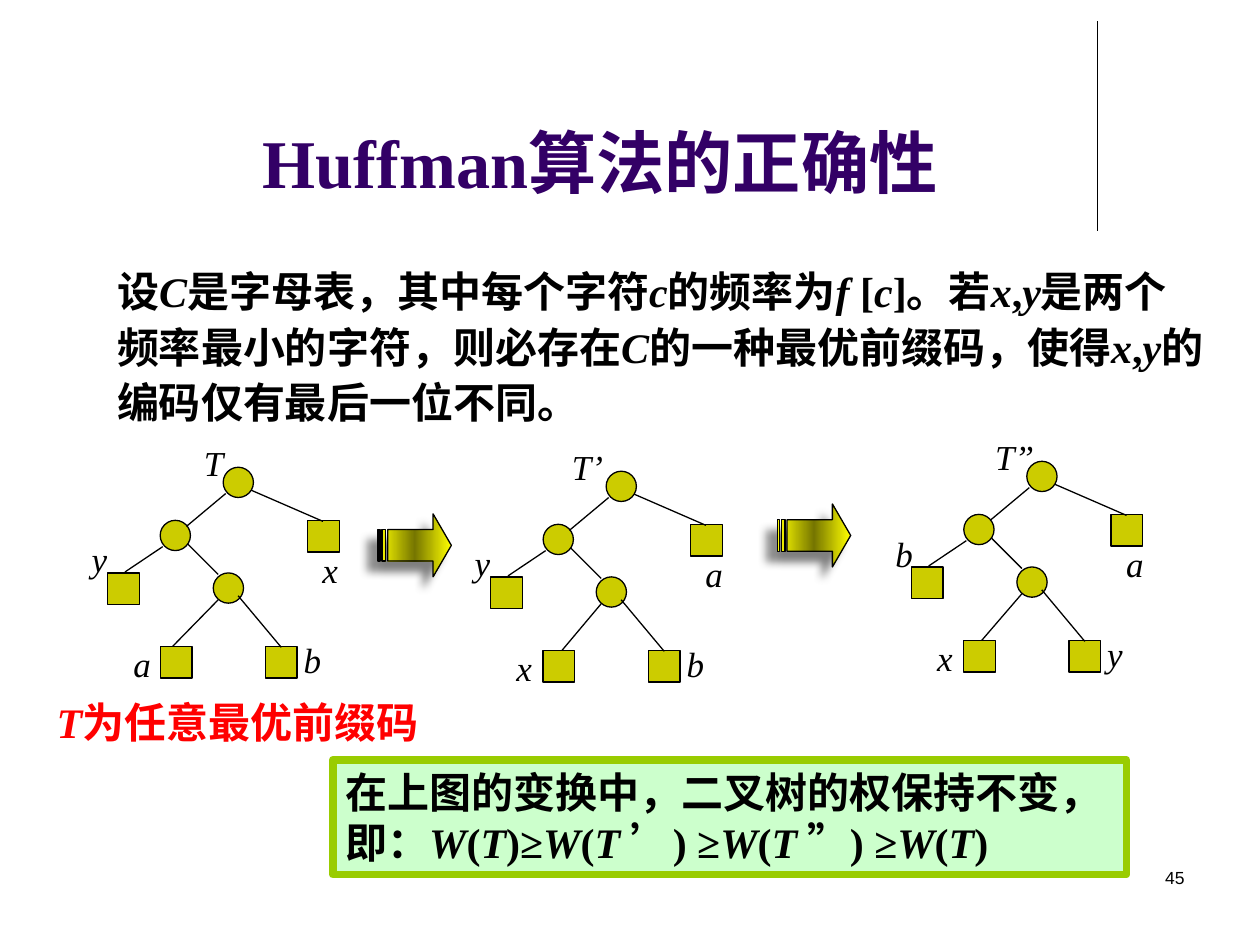
from copy import deepcopy

from lxml.etree import SubElement
from pptx import Presentation
from pptx.dml.color import RGBColor
from pptx.enum.shapes import MSO_CONNECTOR, MSO_SHAPE
from pptx.enum.text import MSO_ANCHOR, PP_ALIGN
from pptx.oxml.ns import qn
from pptx.util import Cm, Pt

COLORS = {
    "black": "000000",
    "title": "330066",
    "red": "FF0000",
    "node": "CCCC00",
    "yellow": "FFFF00",
    "olive": "767600",
    "shadow": "808080",
    "panel": "CCFFCC",
    "frame": "99CC00",
}

CIRCLES = [(0, 0), (-1.27, 1.07), (-0.2, 2.13)]
SQUARES = [(-1.27, 3.61), (0.85, 3.61), (1.7, 1.07), (-2.33, 2.13)]
EDGES = [
    (0.05, 0.53, -0.74, 1.19),
    (-1.22, 1.6, -1.98, 2.11),
    (-0.71, 1.55, -0.1, 2.16),
    (0.3, 2.59, 1.17, 3.63),
    (0.56, 0.46, 2.01, 1.09),
]
LEAF_LABELS = [(-2.9, 1.3), (1.75, 1.52), (-2.06, 3.4), (1.37, 3.33)]
TREES = [
    ("T", 4.5, 9.42, -0.64, -1.02, "yxab"),
    ("T’", 12.22, 9.5, -0.94, -0.89, "yaxb"),
    ("T”", 20.7, 9.3, -0.89, -0.91, "baxy"),
]


def rgb(name):
    return RGBColor.from_string(COLORS[name])


class SlideBuilder:
    def __init__(self, slide, font="Times New Roman"):
        self.slide = slide
        self.font = font

    def fill_text(self, shape, marked_text, size, color="black", bold=False, font=None,
                  align=PP_ALIGN.LEFT, anchor=MSO_ANCHOR.TOP, spacing=None, before=0):
        frame = shape.text_frame
        frame.word_wrap = True
        frame.vertical_anchor = anchor
        paragraph = frame.paragraphs[0]
        paragraph.alignment = align
        paragraph.line_spacing = spacing
        paragraph.space_before = Pt(before)
        for index, part in enumerate(marked_text.split("*")):
            if not part:
                continue
            run = paragraph.add_run()
            run.text = part
            run.font.name = font or self.font
            run.font.size = Pt(size)
            run.font.bold = bold
            run.font.italic = index % 2 == 1
            run.font.color.rgb = rgb(color)

    def text(self, left, top, width, height, marked_text, size, **style):
        shape = self.slide.shapes.add_textbox(Cm(left), Cm(top), Cm(width), Cm(height))
        self.fill_text(shape, marked_text, size, **style)

    def shape(self, kind, left, top, width, height, fill="node", line="black", weight=0.75):
        shape = self.slide.shapes.add_shape(kind, Cm(left), Cm(top), Cm(width), Cm(height))
        shape.shadow.inherit = False
        shape.fill.solid()
        shape.fill.fore_color.rgb = rgb(fill)
        shape.line.color.rgb = rgb(line)
        shape.line.width = Pt(weight)
        return shape

    def line(self, x1, y1, x2, y2):
        connector = self.slide.shapes.add_connector(
            MSO_CONNECTOR.STRAIGHT, Cm(x1), Cm(y1), Cm(x2), Cm(y2))
        connector.line.color.rgb = rgb("black")
        connector.line.width = Pt(0.75)
        SubElement(connector._element.spPr, qn("a:effectLst"))

    def arrow(self, left, top):
        shape = self.shape(MSO_SHAPE.STRIPED_RIGHT_ARROW, left, top, 1.48, 1.27)
        shape.adjustments[1] = 0.29
        shape.fill.gradient()
        shape.fill.gradient_angle = 0
        properties = shape._element.spPr
        stop_list = properties.find(".//" + qn("a:gsLst"))
        stop_list.insert(1, deepcopy(stop_list[0]))
        colors = ["yellow", "olive", "yellow"]
        for stop, position, color in zip(shape.fill.gradient_stops, [0, 0.5, 1], colors):
            stop.position = position
            stop.color.rgb = rgb(color)
        shadow = SubElement(properties.find(qn("a:effectLst")), qn("a:outerShdw"),
                            blurRad=str(Pt(5)), dist=str(Pt(8.5)),
                            dir=str(135 * 60000), algn="ctr", rotWithShape="0")
        SubElement(shadow, qn("a:srgbClr"), val=COLORS["shadow"])

    def tree(self, name, x, y, name_offset, left_leaf, leaves):
        for dx, dy in CIRCLES:
            self.shape(MSO_SHAPE.OVAL, x + dx, y + dy, 0.61, 0.61)
        for dx, dy in SQUARES:
            self.shape(MSO_SHAPE.RECTANGLE, x + dx, y + dy, 0.64, 0.64)
        for x1, y1, x2, y2 in EDGES + [(-0.1, 2.67, left_leaf, 3.61)]:
            self.line(x + x1, y + y1, x + x2, y + y2)
        self.text(x + name_offset, y - 0.64, 2.11, 1.09, f"*{name}*", 20, before=2)
        for leaf, (dx, dy) in zip(leaves, LEAF_LABELS):
            self.text(x + dx, y + dy, 1.07, 1.09, f"*{leaf}*", 20, before=2)


def main():
    presentation = Presentation()
    presentation.slide_width = Cm(25.4)
    presentation.slide_height = Cm(19.05)
    builder = SlideBuilder(presentation.slides.add_slide(presentation.slide_layouts[6]))

    builder.line(22.12, 0.43, 22.12, 4.65)
    builder.text(1.9, 1.52, 20.4, 2.69, "Huffman算法的正确性", 39, color="title",
                 bold=True, align=PP_ALIGN.CENTER, anchor=MSO_ANCHOR.BOTTOM)
    builder.text(2.11, 5.13, 22.43, 3.63,
                 "设*C*是字母表，其中每个字符*c*的频率为*f *[*c*]。若*x*,*y*是两个频率最小的字符，"
                 "则必存在*C*的一种最优前缀码，使得*x*,*y*的编码仅有最后一位不同。",
                 24, bold=True, spacing=1.1)
    for tree in TREES:
        builder.tree(*tree)
    builder.arrow(7.62, 10.36)
    builder.arrow(15.67, 10.16)

    panel = builder.shape(MSO_SHAPE.RECTANGLE, 6.71, 15.32, 16, 2.31,
                          fill="panel", line="frame", weight=4.5)
    builder.fill_text(panel,
                      "在上图的变换中，二叉树的权保持不变，即："
                      "*W*(*T*)≥*W*(*T *’) ≥*W*(*T *”) ≥*W*(*T*)", 24, bold=True)
    builder.text(0.89, 13.92, 8.41, 1.3, "*T*为任意最优前缀码", 24, color="red", bold=True)
    builder.text(18.21, 17.35, 5.92, 1.27, "45", 10, font="Arial", align=PP_ALIGN.RIGHT)

    presentation.save("out.pptx")


if __name__ == "__main__":
    main()
